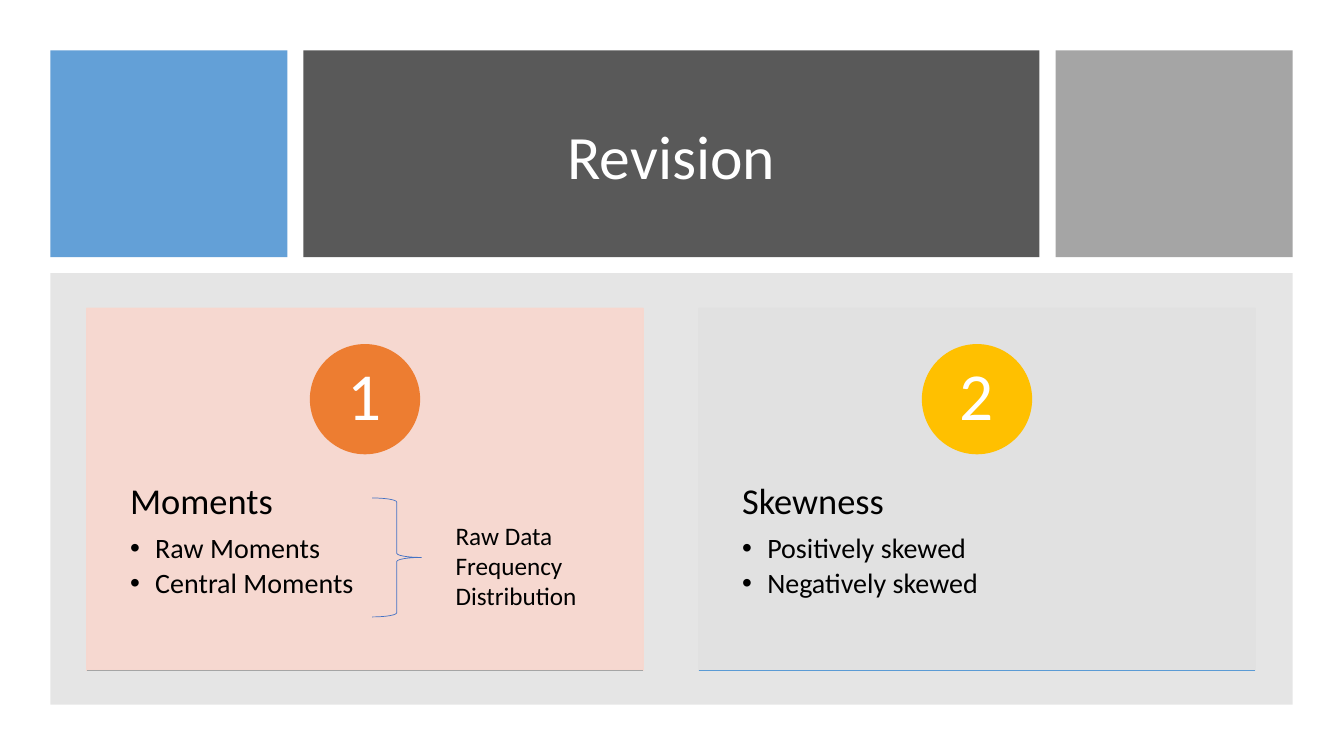
from lxml.etree import SubElement
from pptx import Presentation
from pptx.dml.color import RGBColor
from pptx.enum.shapes import MSO_CONNECTOR, MSO_SHAPE
from pptx.enum.text import MSO_ANCHOR, MSO_AUTO_SIZE, PP_ALIGN
from pptx.oxml.ns import qn
from pptx.util import Inches, Pt

COLORS = {
    "blue": "5B9BD5", "charcoal": "595959", "silver": "A5A5A5",
    "panel": "808080", "peach": "F8D7CE", "pale": "E1E1E1",
    "orange": "ED7D31", "gold": "FFC000", "brace": "4472C4",
    "white": "FFFFFF", "black": "000000",
}
TITLE = "Revision"
TOPICS = [
    {"heading": "Moments", "items": ["Raw Moments", "Central Moments"],
     "card": "peach", "badge": "orange", "rule": "silver"},
    {"heading": "Skewness", "items": ["Positively skewed", "Negatively skewed"],
     "card": "pale", "badge": "gold", "rule": "blue"},
]
DATA_KINDS = ["Raw Data", "Frequency Distribution"]

WIDTH, HEIGHT = 13.33, 7.5
MARGIN, GAP = 0.5, 0.16
BANNER_HEIGHT = 2.05
BANNER = [(2.35, "blue", 95), (7.3, "charcoal", 100), (2.35, "silver", 100)]
PANEL_TOP = MARGIN + BANNER_HEIGHT + GAP
PANEL_WIDTH, PANEL_HEIGHT = WIDTH - 2 * MARGIN - 0.01, 4.28
CARD_LEFT, CARD_TOP, CARD_STEP = 0.86, 3.06, 6.07
CARD_WIDTH, CARD_HEIGHT = 5.52, 3.59
BADGE = 1.08


def place(shape, left, top, width, height):
    shape.left, shape.top = Inches(left), Inches(top)
    shape.width, shape.height = Inches(width), Inches(height)


def set_alpha(color_format_parent, alpha):
    if alpha < 100:
        for color in color_format_parent.iter(qn("a:srgbClr")):
            SubElement(color, qn("a:alpha"), val=str(alpha * 1000))


def add_figure(slide, kind, box, fill=None, line=None, alpha=100, line_width=1):
    shape = slide.shapes.add_shape(kind, *[Inches(value) for value in box])
    shape.shadow.inherit = False
    if fill:
        shape.fill.solid()
        shape.fill.fore_color.rgb = RGBColor.from_string(COLORS[fill])
    else:
        shape.fill.background()
    if line:
        shape.line.color.rgb = RGBColor.from_string(COLORS[line])
        shape.line.width = Pt(line_width)
    else:
        shape.line.fill.background()
    set_alpha(shape._element.spPr, alpha)
    return shape


def add_rule(slide, left, top, width, color):
    rule = slide.shapes.add_connector(
        MSO_CONNECTOR.STRAIGHT, Inches(left), Inches(top), Inches(left + width), Inches(top))
    rule.line.color.rgb = RGBColor.from_string(COLORS[color])
    rule.line.width = Pt(1)
    SubElement(rule._element.spPr, qn("a:effectLst"))


def prepare_frame(shape, horizontal=0.1, vertical=0.05, anchor=MSO_ANCHOR.TOP):
    frame = shape.text_frame
    frame.word_wrap = True
    frame.auto_size = MSO_AUTO_SIZE.NONE
    frame.vertical_anchor = anchor
    frame.margin_left = frame.margin_right = Inches(horizontal)
    frame.margin_top = frame.margin_bottom = Inches(vertical)
    return frame


def write(paragraph, text, size, color="black", align=PP_ALIGN.LEFT,
          spacing=0.9, after=0, bullet=False):
    properties = paragraph._p.get_or_add_pPr()
    indent = Inches(0.25) if bullet else 0
    properties.set("marL", str(indent))
    properties.set("indent", str(-indent))
    if bullet:
        SubElement(properties, qn("a:buFont"), typeface="Arial")
        SubElement(properties, qn("a:buChar"), char="•")
    else:
        SubElement(properties, qn("a:buNone"))
    paragraph.alignment = align
    paragraph.line_spacing = spacing
    paragraph.space_before, paragraph.space_after = Pt(0), Pt(after)
    run = paragraph.add_run()
    run.text = text
    run.font.name, run.font.size = "Calibri", Pt(size)
    run.font.color.rgb = RGBColor.from_string(COLORS[color])


def bring_to_front(slide, shape):
    slide.shapes._spTree.append(shape._element)


def add_banner(slide):
    left = MARGIN
    for width, color, alpha in BANNER:
        add_figure(slide, MSO_SHAPE.RECTANGLE, (left, MARGIN, width, BANNER_HEIGHT),
                   color, alpha=alpha)
        left += width + GAP
    title = slide.shapes.title
    place(title, 3.33, 0.8, 6.66, 1.56)
    frame = prepare_frame(title, anchor=MSO_ANCHOR.MIDDLE)
    write(frame.paragraphs[0], TITLE, 44, "white", PP_ALIGN.CENTER)
    bring_to_front(slide, title)


def add_topic(slide, index, topic, body):
    left = CARD_LEFT + index * CARD_STEP
    add_figure(slide, MSO_SHAPE.RECTANGLE, (left, CARD_TOP, CARD_WIDTH, CARD_HEIGHT),
               topic["card"], topic["card"], alpha=90)
    add_rule(slide, left, CARD_TOP + CARD_HEIGHT, CARD_WIDTH, topic["rule"])
    badge = add_figure(
        slide, MSO_SHAPE.OVAL,
        (left + (CARD_WIDTH - BADGE) / 2, CARD_TOP + 0.36, BADGE, BADGE),
        topic["badge"], topic["badge"])
    frame = prepare_frame(badge, 0.08, 0.01, MSO_ANCHOR.MIDDLE)
    write(frame.paragraphs[0], str(index + 1), 48, "white", PP_ALIGN.CENTER)

    place(body, left, 4.43, CARD_WIDTH, 2.15)
    frame = prepare_frame(body, 0.43, 0.36)
    write(frame.paragraphs[0], topic["heading"], 26, after=9)
    for item in topic["items"]:
        paragraph = frame.add_paragraph()
        paragraph.level = 1
        write(paragraph, item, 20, after=3, bullet=True)
    bring_to_front(slide, body)


def add_data_kinds(slide):
    add_figure(slide, MSO_SHAPE.RIGHT_BRACE, (3.69, 4.94, 0.49, 1.18),
               line="brace", line_width=0.5)
    box = slide.shapes.add_textbox(Inches(4.42), Inches(5.11), Inches(1.96), Inches(1.01))
    frame = prepare_frame(box)
    for index, kind in enumerate(DATA_KINDS):
        paragraph = frame.add_paragraph() if index else frame.paragraphs[0]
        write(paragraph, kind, 18, spacing=1.0)


def main():
    presentation = Presentation()
    presentation.slide_width, presentation.slide_height = Inches(WIDTH), Inches(HEIGHT)
    slide = presentation.slides.add_slide(presentation.slide_layouts[3])
    bodies = list(slide.placeholders)[1:]
    add_banner(slide)
    add_figure(slide, MSO_SHAPE.RECTANGLE,
               (MARGIN, PANEL_TOP, PANEL_WIDTH, PANEL_HEIGHT), "panel", alpha=20)
    for index, (topic, body) in enumerate(zip(TOPICS, bodies)):
        add_topic(slide, index, topic, body)
    add_data_kinds(slide)
    presentation.save("out.pptx")


if __name__ == "__main__":
    main()
